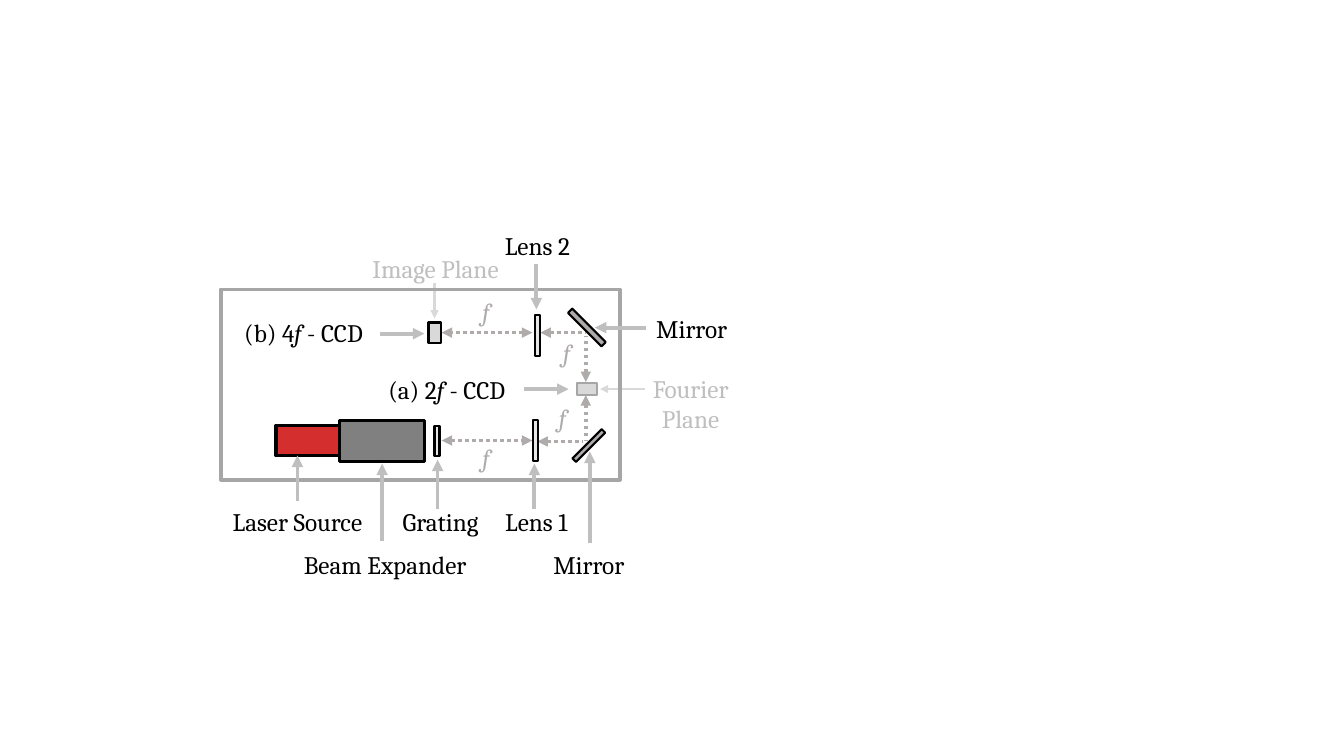
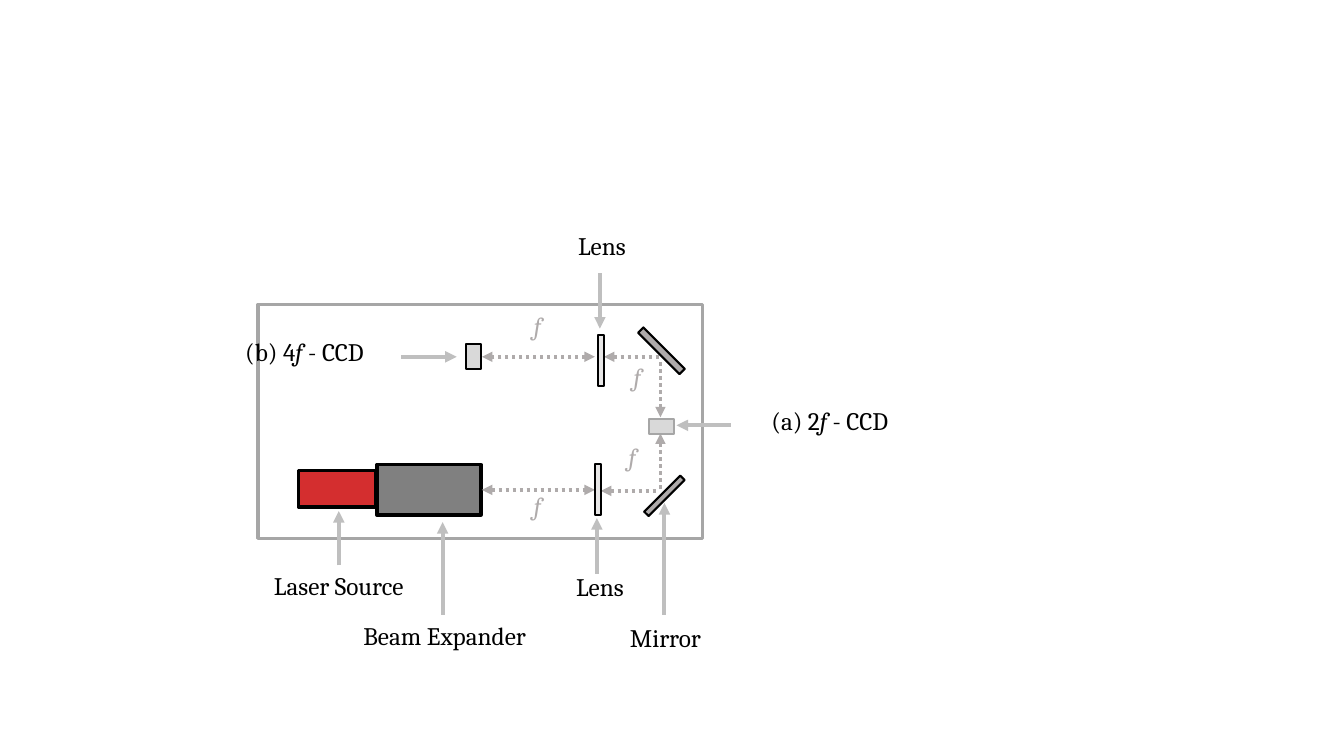
from lxml import etree
from pptx import Presentation
from pptx.dml.color import RGBColor
from pptx.enum import dml, shapes, text
from pptx.oxml import ns
from pptx.util import Inches, Pt

BLACK, WHITE, RED = "000000", "FFFFFF", "D42E2F"
BEAM, MIRROR, LENS = "AFABAB", "AFABAB", "E7E6E6"
FRAME, EXPANDER, SENSOR = "A6A6A6", "808080", "D9D9D9"
POINTER, MUTED, FAINT = "BFBFBF", "BFBFBF", "D9D9D9"


def color(hex_code):
    return RGBColor.from_string(hex_code)


class Diagram:
    font, size = "Cambria", 18

    def __init__(self, presentation):
        self.presentation = presentation
        self.slide = None

    def new_slide(self):
        self.slide = self.presentation.slides.add_slide(
            self.presentation.slide_layouts[6])
        background = self.slide.background.fill
        background.solid()
        background.fore_color.rgb = color(WHITE)

    def box(self, left, top, width, height, fill=None, line=BLACK,
            weight=1.5, rotation=0):
        shape = self.slide.shapes.add_shape(
            shapes.MSO_SHAPE.RECTANGLE,
            *map(Inches, (left, top, width, height)))
        shape.shadow.inherit = False
        shape.rotation = rotation
        if fill:
            shape.fill.solid()
            shape.fill.fore_color.rgb = color(fill)
        else:
            shape.fill.background()
        shape.line.color.rgb = color(line)
        shape.line.width = Pt(weight)

    def arrow(self, start, end, line=POINTER, weight=2.75, dotted=False,
              ends=("tailEnd",)):
        connector = self.slide.shapes.add_connector(
            shapes.MSO_CONNECTOR.STRAIGHT, *map(Inches, (*start, *end)))
        connector.line.color.rgb = color(line)
        connector.line.width = Pt(weight)
        if dotted:
            connector.line.dash_style = dml.MSO_LINE.ROUND_DOT
        properties = connector.element.spPr
        outline = properties.find(ns.qn("a:ln"))
        for end_name in ends:
            etree.SubElement(outline, ns.qn(f"a:{end_name}"), type="triangle")
        etree.SubElement(properties, ns.qn("a:effectLst"))

    def label(self, runs, center, top, width=2.05, ink=BLACK, height=0.4):
        """Centred text; a run that is only f is set in italics."""
        shape = self.slide.shapes.add_textbox(
            *map(Inches, (center - width / 2, top, width, height)))
        shape.text_frame.word_wrap = True
        paragraph = shape.text_frame.paragraphs[0]
        paragraph.alignment = text.PP_ALIGN.CENTER
        for words in runs:
            run = paragraph.add_run()
            run.text = words
            run.font.name = self.font
            run.font.size = Pt(self.size)
            run.font.italic = words.strip() == "f"
            run.font.color.rgb = color(ink)


class Bench:
    """Optical bench, scaled about the point where the lower beam turns."""
    turn_x, turn_y = 5.81, 4.37

    def __init__(self, diagram, x, y, scale):
        self.diagram, self.x, self.y, self.scale = diagram, x, y, scale

    def point(self, x, y):
        return (round(self.x + (x - self.turn_x) * self.scale, 2),
                round(self.y + (y - self.turn_y) * self.scale, 2))

    def element(self, x, y, width, height, fill, **style):
        """A rectangle given by its centre."""
        x, y = self.point(x, y)
        width, height = width * self.scale, height * self.scale
        self.diagram.box(x - width / 2, y - height / 2, width, height,
                         fill, **style)

    def draw(self, frame, laser, expander):
        self.diagram.box(*frame, line=FRAME, weight=2.5)
        self.diagram.box(*laser, RED, weight=2.5)
        self.diagram.box(*expander, EXPANDER, weight=2.5)

        both, head = ("headEnd", "tailEnd"), ("headEnd",)
        for start, end, ends in (
                ((4.38, 4.37), (5.28, 4.37), both),
                ((5.33, 4.38), (5.78, 4.38), head),
                ((5.81, 3.92), (5.81, 4.37), head),
                ((5.28, 3.3), (4.38, 3.3), both),
                ((5.81, 3.79), (5.81, 3.33), head),
                ((5.36, 3.3), (5.81, 3.3), head)):
            self.diagram.arrow(self.point(*start), self.point(*end), BEAM,
                               2.5, dotted=True, ends=ends)

        for x, y in ((5.31, 4.37), (5.33, 3.33)):
            self.element(x, y, 0.05, 0.41, LENS)
        self.element(5.84, 4.42, 0.05, 0.41, MIRROR, rotation=45)
        self.element(5.82, 3.25, 0.06, 0.47, MIRROR, rotation=135)
        self.element(5.82, 3.86, 0.2, 0.12, SENSOR, line=FRAME)
        self.element(4.31, 3.3, 0.12, 0.2, SENSOR)

        for x, y in ((4.82, 4.34), (4.82, 2.89), (5.58, 3.94), (5.62, 3.3)):
            self.diagram.label(["f"], *self.point(x, y), 0.5, BEAM)


def annotate(diagram, callouts):
    """Each callout: text runs, label centre and top, arrow start and end."""
    for runs, center, top, start, end in callouts:
        diagram.arrow(start, end)
        diagram.label(runs, center, top)


def labelled_setup(diagram):
    diagram.new_slide()
    for start, end in (((6.4, 3.86), (5.95, 3.86)),
                       ((4.31, 2.81), (4.31, 3.16))):
        diagram.arrow(start, end, FAINT, 1.5)
    Bench(diagram, 5.81, 4.37, 1).draw(
        frame=(2.19, 2.87, 3.96, 1.89),
        laser=(2.74, 4.22, 0.63, 0.3),
        expander=(3.37, 4.17, 0.84, 0.41))
    diagram.box(4.31, 4.23, 0.05, 0.29, LENS)
    annotate(diagram, (
        (["Laser Source"], 2.95, 4.97, (2.95, 4.97), (2.95, 4.52)),
        (["Beam Expander"], 3.82, 5.4, (3.79, 5.37), (3.79, 4.6)),
        (["Grating"], 4.37, 4.97, (4.34, 5.05), (4.34, 4.56)),
        (["Lens 1"], 5.32, 4.97, (5.3, 5.05), (5.3, 4.6)),
        (["Mirror"], 5.84, 5.4, (5.85, 5.39), (5.85, 4.48)),
        (["Lens 2"], 5.33, 2.24, (5.32, 2.62), (5.32, 3.07)),
        (["Mirror"], 6.86, 3.06, (6.41, 3.25), (5.9, 3.25)),
        (["(a) 2", "f ", "- CCD"], 4.43, 3.66, (5.2, 3.86), (5.64, 3.86)),
        (["(b) 4", "f ", "- CCD"], 3.01, 3.1, (3.77, 3.31), (4.21, 3.31))))
    diagram.label(["Image Plane"], 4.32, 2.46, 1.59, MUTED)
    diagram.label(["Fourier Plane"], 6.85, 3.65, 1.01, MUTED, 0.71)


def setup_without_grating(diagram):
    diagram.new_slide()
    Bench(diagram, 6.55, 4.86, 1.235).draw(
        frame=(2.56, 3.02, 4.41, 2.32),
        laser=(2.96, 4.67, 0.77, 0.36),
        expander=(3.74, 4.61, 1.03, 0.5))
    annotate(diagram, (
        (["Laser Source"], 3.36, 5.61, (3.36, 5.61), (3.36, 5.07)),
        (["Beam Expander"], 4.41, 6.1, (4.39, 6.1), (4.39, 5.18)),
        (["Lens"], 5.95, 5.62, (5.92, 5.69), (5.92, 5.14)),
        (["Mirror"], 6.6, 6.12, (6.59, 6.1), (6.59, 4.99)),
        (["Lens"], 5.97, 2.24, (5.95, 2.71), (5.95, 3.26)),
        (["(a) 2", "f ", "- CCD"], 8.23, 3.97, (7.25, 4.22), (6.71, 4.22)),
        (["(b) 4", "f ", "- CCD"], 3.02, 3.29, (3.98, 3.54), (4.53, 3.54))))


def main():
    presentation = Presentation()
    presentation.slide_width = Inches(13.33)
    presentation.slide_height = Inches(7.5)
    diagram = Diagram(presentation)
    labelled_setup(diagram)
    setup_without_grating(diagram)
    presentation.save("out.pptx")


if __name__ == "__main__":
    main()
